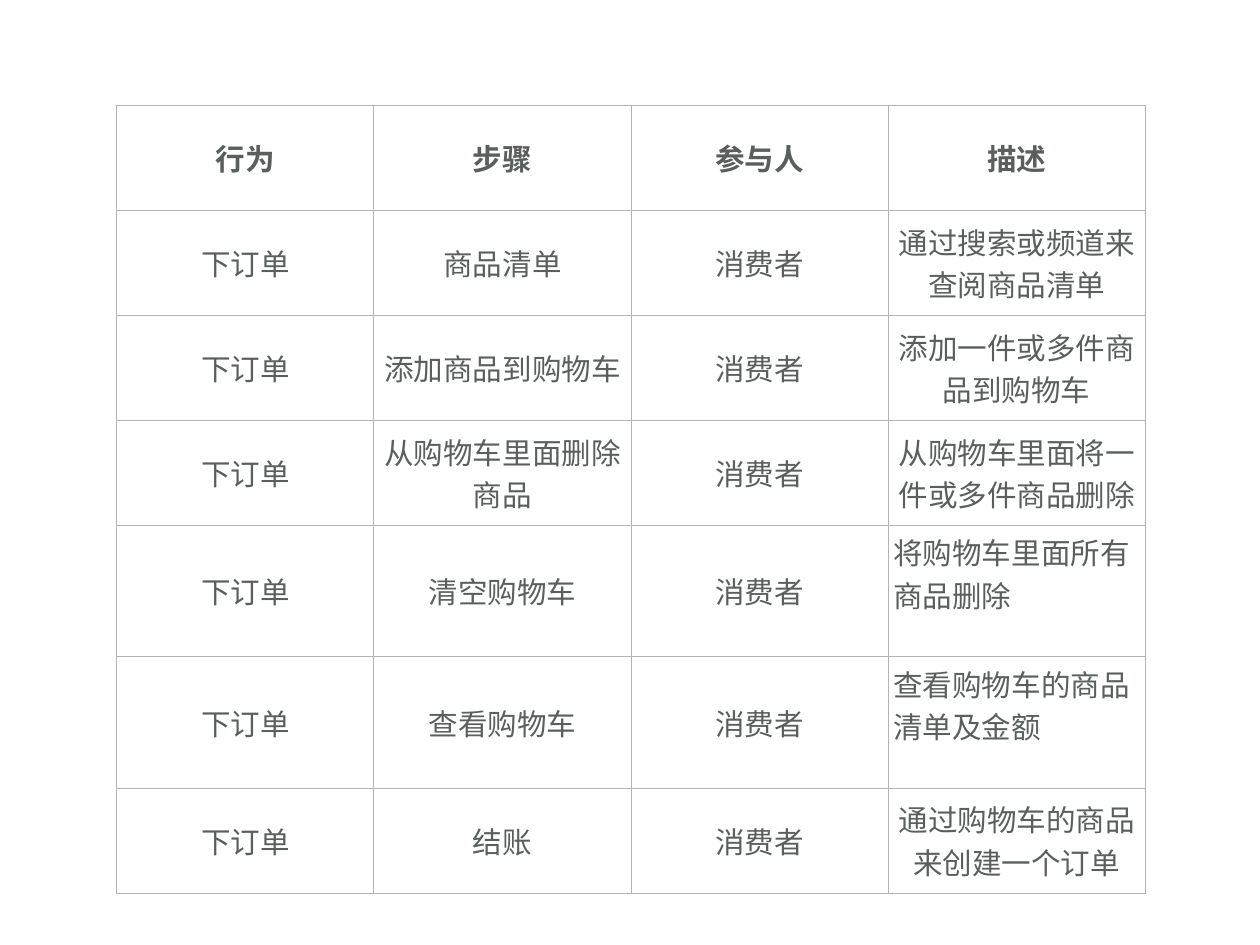
"""Build a slide with a table of shopping cart steps."""
from dataclasses import dataclass

from lxml import etree
from pptx import Presentation
from pptx import util as u
from pptx.dml.color import RGBColor
from pptx.enum import lang, text
from pptx.oxml import ns


@dataclass(frozen=True)
class Theme:
    font: str = "Calibri"
    size: int = 24
    ink: str = "5A5F5E"
    rule: str = "B4B4B4"
    line: int = 1


THEME = Theme()
HEAD = ("行为", "步骤", "参与人", "描述")
ACT, ROLE = "下订单", "消费者"
STEPS = (
    ("商品清单", "通过搜索或频道来查阅商品清单"),
    ("添加商品到购物车", "添加一件或多件商品到购物车"),
    ("从购物车里面删除商品", "从购物车里面将一件或多件商品删除"),
    ("清空购物车", "将购物车里面所有商品删除"),
    ("查看购物车", "查看购物车的商品清单及金额"),
    ("结账", "通过购物车的商品来创建一个订单"),
)
TALL = (4, 5)
LEFT, TOP, WIDE = 3.35, 3.02, 7.37
LOW, HIGH = 3.01, 3.77
INSET = 0.15


def border(cell):
    """Draw a thin rule on each side of a cell."""
    props = cell._tc.get_or_add_tcPr()
    for side in "LRTB":
        line = etree.SubElement(props, ns.qn(f"a:ln{side}"), w=str(u.Pt(THEME.line)))
        fill = etree.SubElement(line, ns.qn("a:solidFill"))
        etree.SubElement(fill, ns.qn("a:srgbClr"), val=THEME.rule)


def write(cell, words, bold, note):
    """Fill a cell with text, centred unless it is a note at the top left."""
    border(cell)
    cell.fill.background()
    cell.margin_left = cell.margin_right = u.Cm(INSET)
    cell.margin_top = cell.margin_bottom = u.Cm(INSET)
    cell.vertical_anchor = text.MSO_ANCHOR.TOP if note else text.MSO_ANCHOR.MIDDLE
    cell.text_frame.text = words
    para = cell.text_frame.paragraphs[0]
    para.alignment = text.PP_ALIGN.LEFT if note else text.PP_ALIGN.CENTER
    font = para.runs[0].font
    font.name, font.size, font.bold = THEME.font, u.Pt(THEME.size), bold
    font.color.rgb = RGBColor.from_string(THEME.ink)
    font.language_id = lang.MSO_LANGUAGE_ID.SIMPLIFIED_CHINESE


def grid(slide, rows):
    """Add the table and write its rows."""
    highs = [HIGH if r in TALL else LOW for r in range(len(rows))]
    frame = slide.shapes.add_table(
        len(rows), len(HEAD), u.Cm(LEFT), u.Cm(TOP),
        u.Cm(WIDE * len(HEAD)), u.Cm(sum(highs)))
    table = frame.table
    table.horz_banding = False
    for col in table.columns:
        col.width = u.Cm(WIDE)
    for r, (row, high) in enumerate(zip(rows, highs)):
        table.rows[r].height = u.Cm(high)
        for c, words in enumerate(row):
            note = r in TALL and c == len(HEAD) - 1
            write(table.cell(r, c), words, r == 0, note)


def main():
    """Build and save the slide."""
    deck = Presentation()
    deck.slide_width, deck.slide_height = u.Cm(36.12), u.Cm(27.1)
    slide = deck.slides.add_slide(deck.slide_layouts[6])
    grid(slide, [HEAD] + [(ACT, step, ROLE, note) for step, note in STEPS])
    deck.save("out.pptx")


if __name__ == "__main__":
    main()
